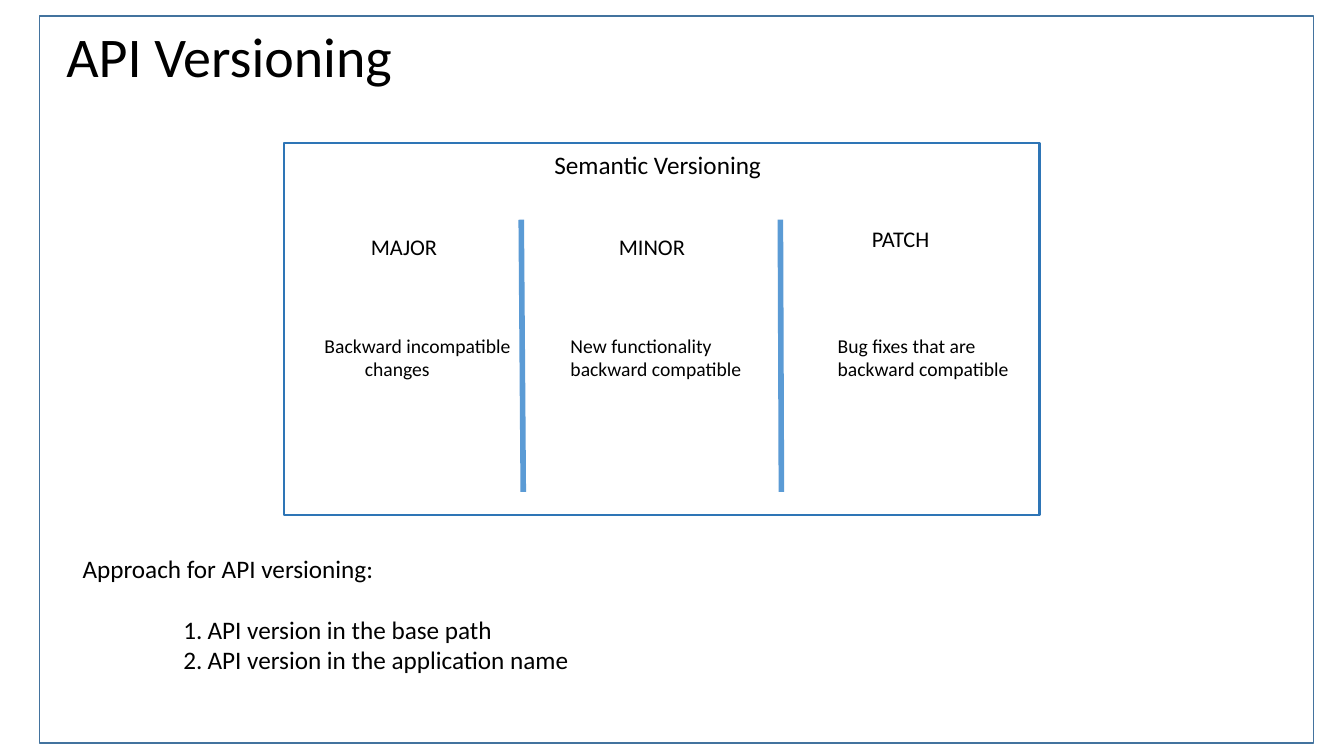
from lxml import etree
from pptx import Presentation
from pptx.dml.color import RGBColor
from pptx.enum.shapes import MSO_CONNECTOR, MSO_SHAPE
from pptx.enum.text import MSO_ANCHOR
from pptx.oxml.ns import qn
from pptx.util import Emu, Pt

PX = 9144  # 100 px to the inch
RECTANGLE = MSO_SHAPE.RECTANGLE
STRAIGHT = MSO_CONNECTOR.STRAIGHT
MIDDLE = MSO_ANCHOR.MIDDLE

FONT = "Calibri"
COLORS = {
    "text": "000000",
    "white": "FFFFFF",
    "frame": "43739E",
    "panel": "2E75B6",
    "divider": "5B9BD5",
}

# heading, heading left, top and width, description left and height, lines
COLUMNS = [
    ("MAJOR", (358, 226, 97), (312, 57), ["Backward incompatible", "changes"]),
    ("MINOR", (604, 226, 96), (556, 81), ["New functionality", "backward compatible"]),
    ("PATCH", (855, 218, 95), (821, 81), ["Bug fixes that are", "backward compatible"]),
]
DIVIDERS = [(517, 519), (774, 775)]


def px(value):
    return Emu(value * PX)


def color(name):
    return RGBColor.from_string(COLORS[name])


def add_box(slide, left, top, width, height, line, points, fill=None):
    shape = slide.shapes.add_shape(RECTANGLE, px(left), px(top), px(width), px(height))
    shape.shadow.inherit = False
    if fill:
        shape.fill.solid()
        shape.fill.fore_color.rgb = color(fill)
    else:
        shape.fill.background()
    shape.line.color.rgb = color(line)
    shape.line.width = Pt(points)


def add_text(slide, left, top, width, height, lines, size):
    """Add a text box with one paragraph per line and return its text frame."""
    box = slide.shapes.add_textbox(px(left), px(top), px(width), px(height))
    text_frame = box.text_frame
    text_frame.word_wrap = True
    text_frame.text = "\n".join(lines)
    for paragraph in text_frame.paragraphs:
        for run in paragraph.runs:
            run.font.name = FONT
            run.font.size = Pt(size)
            run.font.color.rgb = color("text")
    return text_frame


def indent(paragraph, margin, first_line=0):
    properties = paragraph._p.get_or_add_pPr()
    properties.set("marL", str(px(margin)))
    properties.set("indent", str(px(first_line)))
    return properties


def number(paragraph):
    properties = indent(paragraph, 124, -24)
    etree.SubElement(properties, qn("a:buFont"), typeface=FONT)
    etree.SubElement(properties, qn("a:buAutoNum"), type="arabicPeriod")


def add_divider(slide, top_x, bottom_x):
    connector = slide.shapes.add_connector(
        STRAIGHT, px(top_x), px(218), px(bottom_x), px(488))
    connector.line.color.rgb = color("divider")
    connector.line.width = Pt(4)
    etree.SubElement(connector._element.spPr, qn("a:effectLst"))


def add_approaches(slide):
    text_frame = add_text(slide, 72, 544, 1091, 131, [
        "Approach for API versioning:",
        "API version in the base path",
        "API version in the application name",
    ], 18)
    approaches = text_frame.paragraphs[1:]
    approaches[0].space_before = Pt(22)
    for paragraph in approaches:
        number(paragraph)


def main():
    presentation = Presentation()
    presentation.slide_width = px(1333)
    presentation.slide_height = px(750)
    slide = presentation.slides.add_slide(presentation.slide_layouts[6])

    add_box(slide, 39, 16, 1264, 721, "frame", 1)
    title = add_text(slide, 56, 32, 513, 53, ["API Versioning"], 40)
    title.vertical_anchor = MIDDLE
    title.paragraphs[0].line_spacing = 0.9

    add_box(slide, 282, 142, 749, 369, "panel", 1.5, "white")
    add_text(slide, 540, 143, 363, 40, ["Semantic Versioning"], 18)
    for top_x, bottom_x in DIVIDERS:
        add_divider(slide, top_x, bottom_x)

    descriptions = []
    for heading, (left, top, width), (text_left, text_height), lines in COLUMNS:
        add_text(slide, left, top, width, 37, [heading], 16)
        descriptions.append(add_text(slide, text_left, 326, 223, text_height, lines, 14))
    indent(descriptions[0].paragraphs[1], 40)

    add_approaches(slide)
    presentation.save("out.pptx")


if __name__ == "__main__":
    main()
